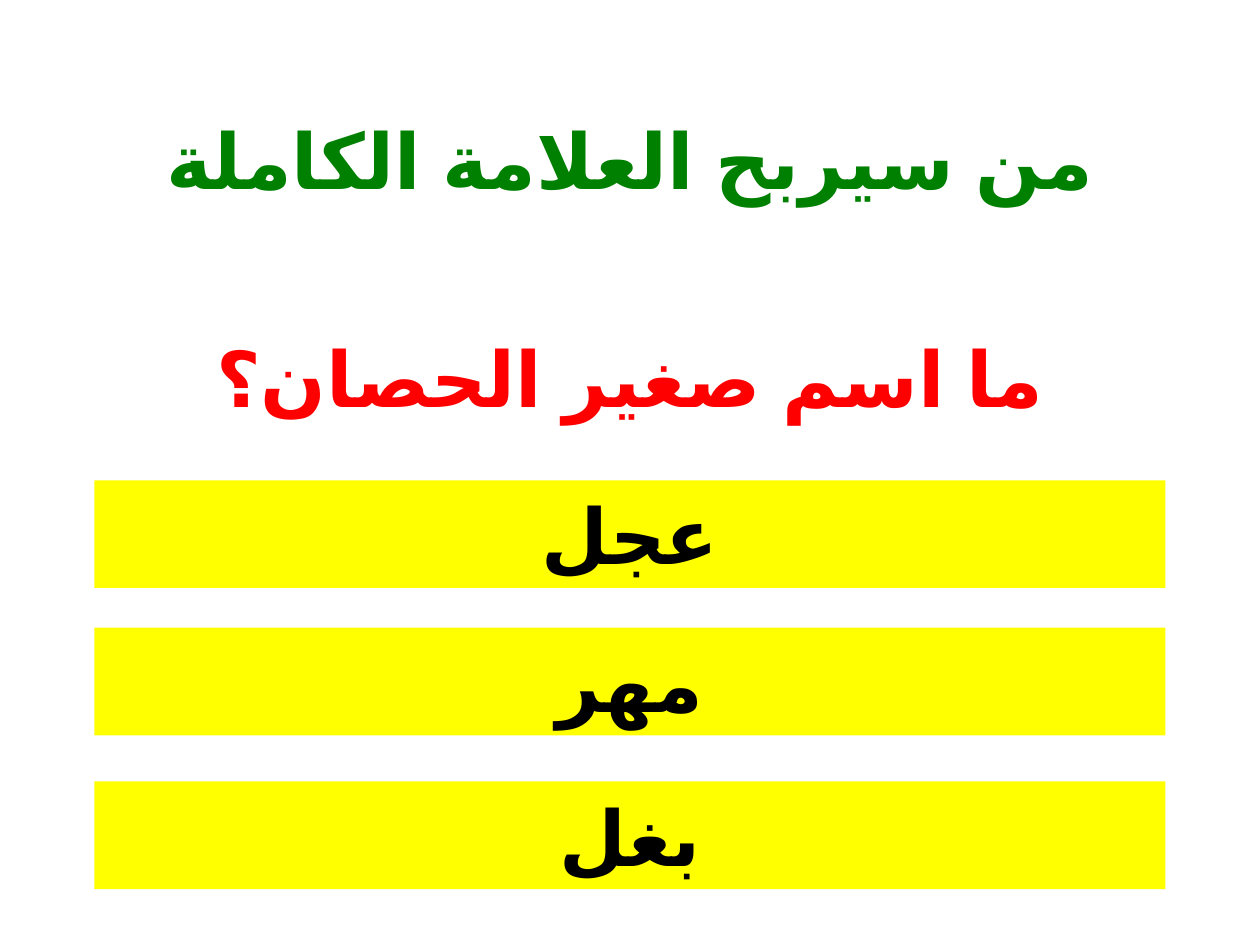
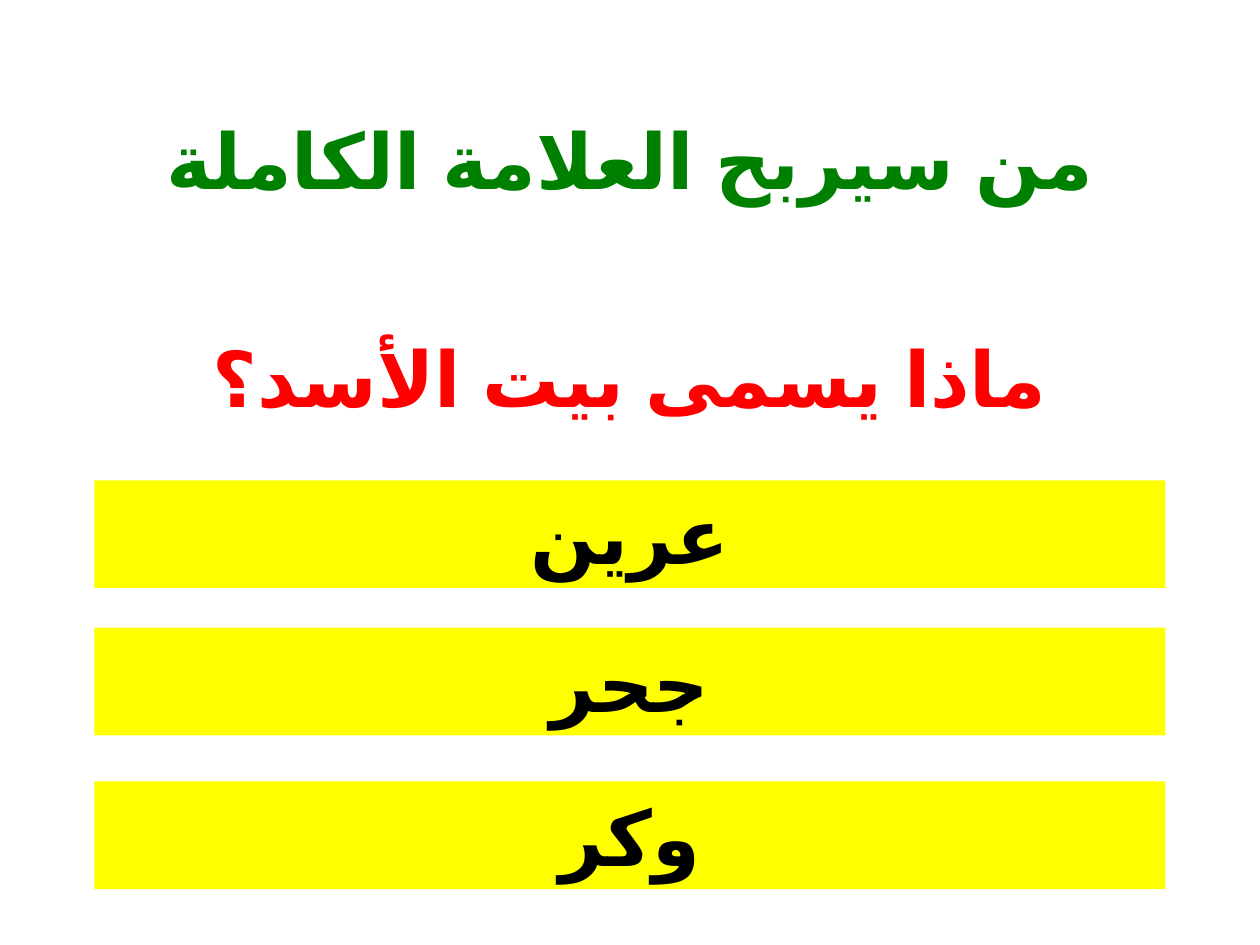
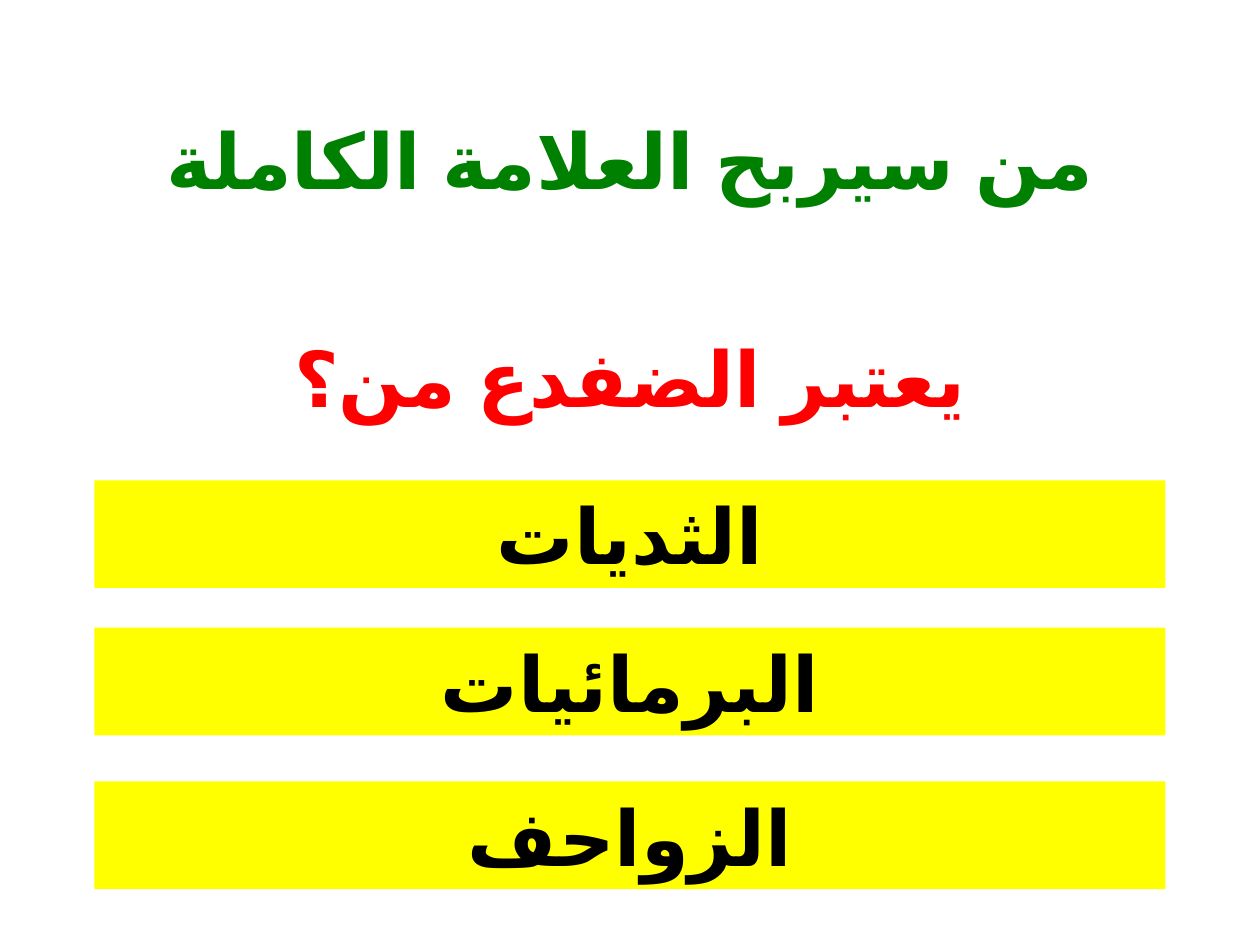
import pptx
import pptx.dml.color
import pptx.enum.shapes
import pptx.enum.text
import pptx.oxml.ns
import pptx.util
from dataclasses import dataclass
from lxml import etree


@dataclass(frozen=True)
class Theme:
    font: str = "Arial"
    language: str = "ar-SA"
    size: int = 44
    heading: str = "008000"
    question: str = "FF0000"
    answer: str = "000000"
    band: str = "FFFF00"


theme = Theme()
deck = pptx.Presentation()
deck.slide_width = pptx.util.Inches(10)
deck.slide_height = pptx.util.Inches(7.5)

# Row geometry, in percent of the slide's width or height
LEFT, WIDTH = 7.5, 85
ROW_HEIGHT = 11.4
HEADING_TOP, QUESTION_TOP = 11.07, 34.13
ANSWER_TOPS = (50.83, 66.43, 82.7)

HEADING = "من سيربح العلامة الكاملة"
QUIZ = [
    ("ما اسم صغير الحصان؟", ("عجل", "مهر", "بغل")),
    ("ماذا يسمى بيت الأسد؟", ("عرين", "جحر", "وكر")),
    ("يعتبر الضفدع من؟", ("الثديات", "البرمائيات", "الزواحف")),
]


def add_row(page, text, top, color, band=None):
    """Add one centred right-to-left line, on a coloured band if one is given."""
    frame = (
        int(deck.slide_width * LEFT / 100),
        int(deck.slide_height * top / 100),
        int(deck.slide_width * WIDTH / 100),
        int(deck.slide_height * ROW_HEIGHT / 100),
    )
    if band:
        box = page.shapes.add_shape(pptx.enum.shapes.MSO_SHAPE.RECTANGLE, *frame)
        box.shadow.inherit = False
        box.fill.solid()
        box.fill.fore_color.rgb = pptx.dml.color.RGBColor.from_string(band)
        box.line.fill.background()
    else:
        box = page.shapes.add_textbox(*frame)

    box.text_frame.text = text
    box.text_frame.word_wrap = True
    box.text_frame.vertical_anchor = pptx.enum.text.MSO_ANCHOR.MIDDLE
    para = box.text_frame.paragraphs[0]
    para.alignment = pptx.enum.text.PP_ALIGN.CENTER
    para._p.get_or_add_pPr().set("rtl", "1")

    span = para.runs[0]
    span.font.name = theme.font
    span.font.size = pptx.util.Pt(theme.size)
    span.font.bold = True
    span.font.color.rgb = pptx.dml.color.RGBColor.from_string(color)
    # Arabic letters take the complex-script font and language
    properties = span._r.get_or_add_rPr()
    properties.set("lang", theme.language)
    complex_font = etree.SubElement(properties, pptx.oxml.ns.qn("a:cs"))
    complex_font.set("typeface", theme.font)


# One slide per question
for question, answers in QUIZ:
    page = deck.slides.add_slide(deck.slide_layouts[6])
    add_row(page, HEADING, HEADING_TOP, theme.heading)
    add_row(page, question, QUESTION_TOP, theme.question)
    for answer, top in zip(answers, ANSWER_TOPS):
        add_row(page, answer, top, theme.answer, theme.band)

deck.save("out.pptx")
